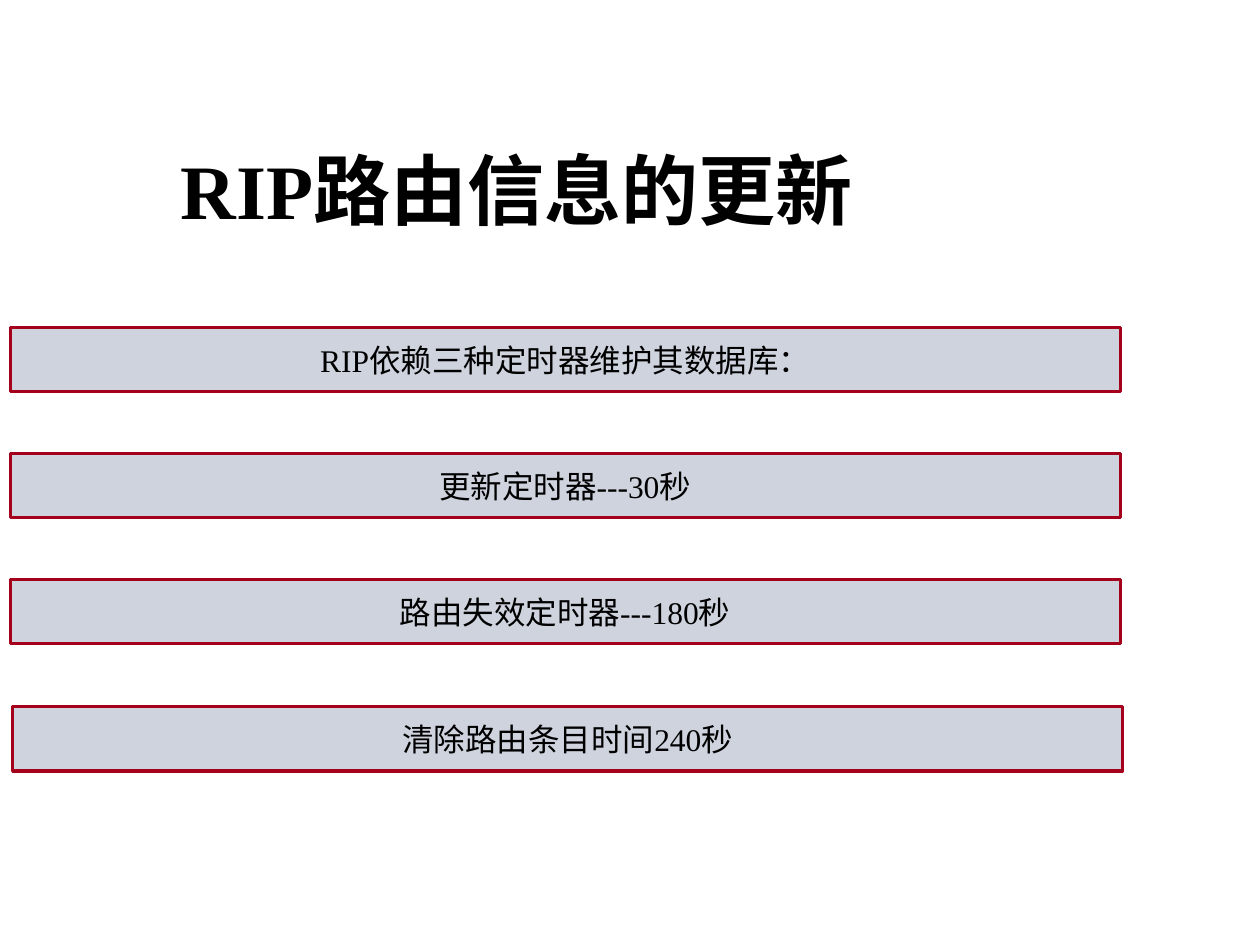
from pptx import Presentation
from pptx.dml.color import RGBColor
from pptx.enum.shapes import MSO_SHAPE
from pptx.enum.text import MSO_ANCHOR, PP_ALIGN
from pptx.util import Inches, Pt


def color(hex_string):
    return RGBColor.from_string(hex_string)


def write_centered(shape, text, size, bold=False):
    frame = shape.text_frame
    frame.text = text
    frame.word_wrap = True
    frame.vertical_anchor = MSO_ANCHOR.MIDDLE
    paragraph = frame.paragraphs[0]
    paragraph.alignment = PP_ALIGN.CENTER
    font = paragraph.runs[0].font
    font.name = "Times New Roman"
    font.size = Pt(size)
    font.bold = bold
    font.color.rgb = color("000000")


presentation = Presentation()
presentation.slide_width = Inches(10)
presentation.slide_height = Inches(7.5)
slide = presentation.slides.add_slide(presentation.slide_layouts[5])

title = slide.shapes.title
title.left, title.top = Inches(0), Inches(1.07)
title.width, title.height = Inches(8.2), Inches(0.85)
write_centered(title, "RIP路由信息的更新", 44, bold=True)

timer_bars = [
    (0.08, 2.6, "RIP依赖三种定时器维护其数据库："),
    (0.08, 3.6, "更新定时器---30秒"),
    (0.08, 4.6, "路由失效定时器---180秒"),
    (0.1, 5.61, "清除路由条目时间240秒"),
]
for left, top, text in timer_bars:
    bar = slide.shapes.add_shape(
        MSO_SHAPE.RECTANGLE, Inches(left), Inches(top), Inches(8.81), Inches(0.51)
    )
    bar.shadow.inherit = False
    bar.fill.solid()
    bar.fill.fore_color.rgb = color("CED3DE")
    bar.line.color.rgb = color("A4001B")
    bar.line.width = Pt(1.75)
    write_centered(bar, text, 18)

presentation.save("out.pptx")
